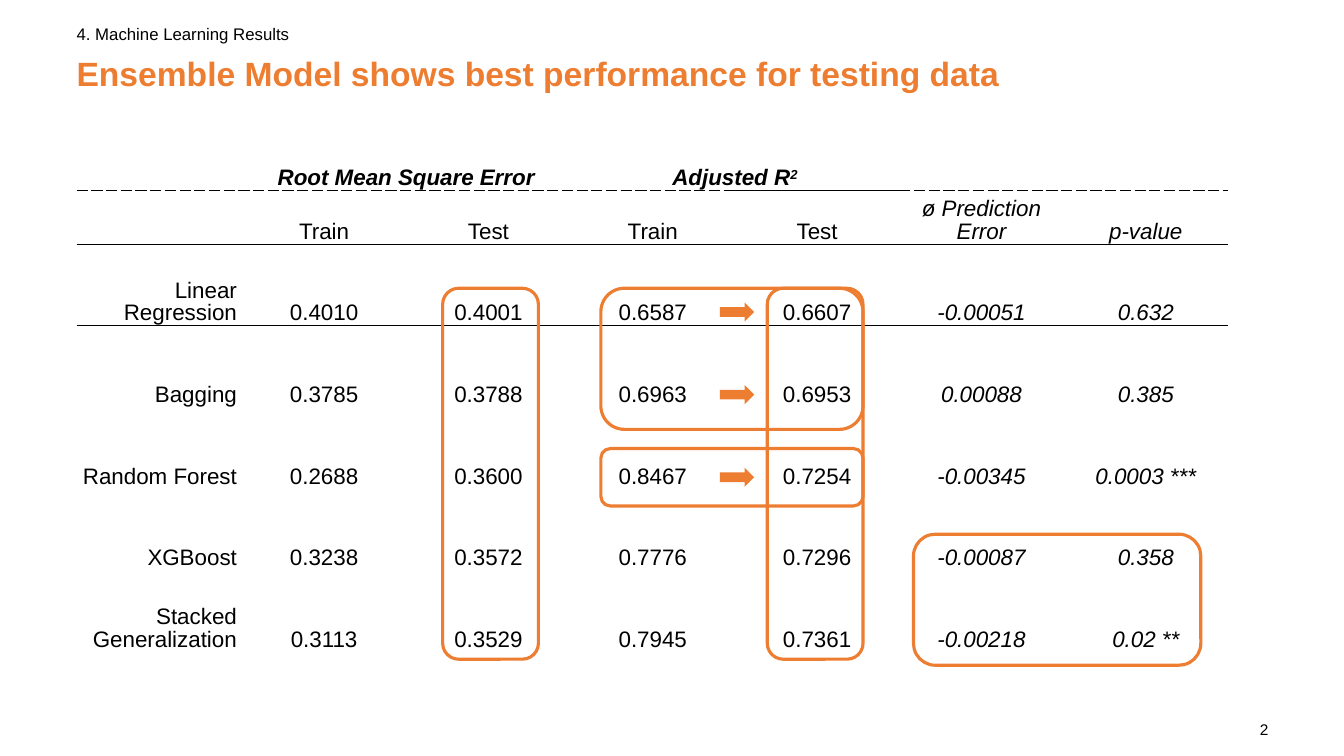
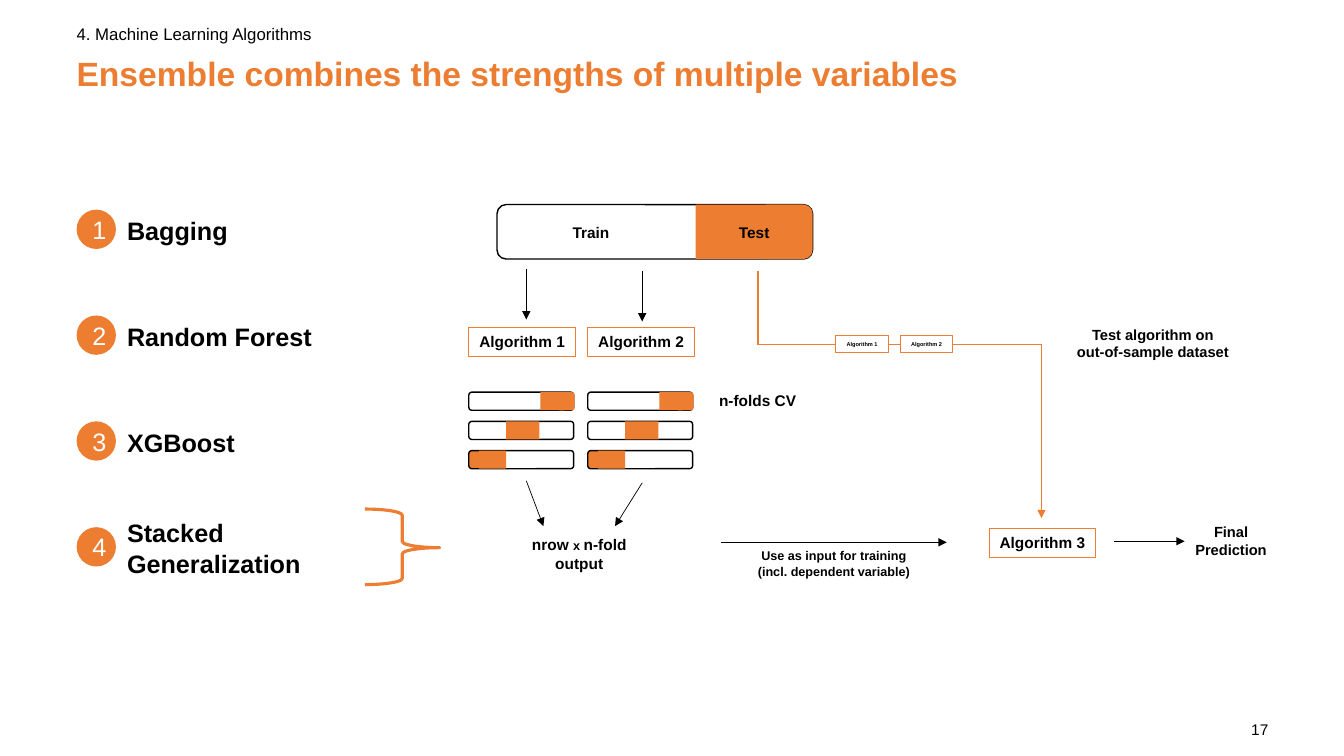
from lxml.etree import SubElement
from pptx import Presentation
from pptx.dml.color import RGBColor
from pptx.enum.shapes import MSO_CONNECTOR, MSO_SHAPE as SHAPE
from pptx.enum.text import MSO_ANCHOR as ANCHOR, PP_ALIGN as ALIGN
from pptx.oxml import parse_xml
from pptx.oxml.ns import nsdecls, qn
from pptx.util import Inches, Pt

ORANGE = RGBColor(0xED, 0x7D, 0x31)
BLACK = RGBColor(0, 0, 0)
WHITE = RGBColor(255, 255, 255)
FONT = "Arial"
LEFT = 0.76
NO_GRID_STYLE = "{2D5ABB26-0587-4C30-8999-92F81FD0307C}"

RESULTS = [
    ["", "Root Mean Square Error", "", "", "", "", ""],
    ["", "Train", "Test", "Train", "Test", "ø Prediction Error", "p-value"],
    ["Linear Regression", "0.4010", "0.4001", "0.6587", "0.6607", "-0.00051", "0.632"],
    ["Bagging", "0.3785", "0.3788", "0.6963", "0.6953", "0.00088", "0.385"],
    ["Random Forest", "0.2688", "0.3600", "0.8467", "0.7254", "-0.00345", "0.0003 ***"],
    ["XGBoost", "0.3238", "0.3572", "0.7776", "0.7296", "-0.00087", "0.358"],
    ["Stacked Generalization", "0.3113", "0.3529", "0.7945", "0.7361", "-0.00218", "0.02 **"],
]
HIGHLIGHTS = [
    (5.96, 4.45, 2.6, 0.57),
    (5.96, 2.86, 2.6, 1.4),
    (9.06, 5.3, 2.85, 1.3),
    (7.61, 2.86, 0.95, 3.68),
    (4.39, 2.86, 0.95, 3.68),
]
MODELS = [
    ("Bagging", 2.03),
    ("Random Forest", 2.03),
    ("XGBoost", 2.03),
    ("Stacked Generalization", 2.4),
]
OUTLINE = (SHAPE.ROUNDED_RECTANGLE, 0, 1.04, None, BLACK)
FOLDS = [
    (OUTLINE, (SHAPE.RECTANGLE, 0.71, 0.31, ORANGE, None),
     (SHAPE.ROUNDED_RECTANGLE, 0.87, 0.18, ORANGE, None)),
    (OUTLINE, (SHAPE.RECTANGLE, 0.37, 0.33, ORANGE, None)),
    ((SHAPE.ROUNDED_RECTANGLE, 0, 0.18, ORANGE, None), OUTLINE,
     (SHAPE.RECTANGLE, 0.1, 0.27, ORANGE, None)),
]


def style_font(font, size, color=BLACK, bold=False, italic=False):
    font.name = FONT
    font.size = Pt(size)
    font.color.rgb = color
    font.bold = bold
    font.italic = italic


def write(tf, lines, size, color=BLACK, bold=False, align=ALIGN.LEFT,
          anchor=ANCHOR.TOP, insets=(0.1, 0.05, 0.1, 0.05), wrap=True):
    tf.word_wrap = wrap
    tf.vertical_anchor = anchor
    tf.margin_left, tf.margin_top, tf.margin_right, tf.margin_bottom = map(Inches, insets)
    for i, line in enumerate(lines):
        p = tf.paragraphs[0] if i == 0 else tf.add_paragraph()
        p.text = line
        p.alignment = align
        style_font(p.font, size, color, bold)


def add_text(s, at, lines, size, **options):
    tf = s.shapes.add_textbox(*map(Inches, at)).text_frame
    write(tf, lines, size, **options)
    return tf


def add_label(s, at, lines, size=11, align=ALIGN.CENTER):
    return add_text(s, at, lines, size, bold=True, align=align, wrap=False)


def add_shape(s, kind, at, fill=None, line=None, width=1):
    sp = s.shapes.add_shape(kind, *map(Inches, at))
    sp.shadow.inherit = False
    if fill is None:
        sp.fill.background()
    else:
        sp.fill.solid()
        sp.fill.fore_color.rgb = fill
    if line is None:
        sp.line.fill.background()
    else:
        sp.line.color.rgb = line
        sp.line.width = Pt(width)
    return sp


def add_line(s, start, end, color=BLACK, width=0.5, arrow=True):
    line = s.shapes.add_connector(MSO_CONNECTOR.STRAIGHT, *map(Inches, start + end))
    line.line.color.rgb = color
    line.line.width = Pt(width)
    if arrow:
        SubElement(line.line._get_or_add_ln(), qn("a:tailEnd"), type="triangle")
    SubElement(line._element.spPr, qn("a:effectLst"))


def add_algorithm(s, number, at, size=11, fill=None):
    sp = add_shape(s, SHAPE.RECTANGLE, at, fill, ORANGE, 0.75)
    write(sp.text_frame, [f"Algorithm {number}"], size, bold=True,
          align=ALIGN.CENTER, wrap=False)


def add_slide(prs, section, title, number):
    s = prs.slides.add_slide(prs.slide_layouts[6])
    tf = add_text(s, (LEFT, 0.52, 10.47, 1.02), [title], 24, color=ORANGE, bold=True,
                  insets=(0, 0.05, 0.1, 0.05))
    tf.paragraphs[0].line_spacing = 0.9
    add_text(s, (LEFT, 0.22, 10.16, 0.24), [section], 12, anchor=ANCHOR.MIDDLE,
             insets=(0, 0, 0, 0))
    add_text(s, (11.91, 7.1, 0.67, 0.3), [str(number)], 11, align=ALIGN.RIGHT,
             insets=(0, 0.05, 0, 0.05))
    return s


def set_border(cell, side, dash):
    cell._tc.get_or_add_tcPr().insert(0, parse_xml(
        f'<a:{side} {nsdecls("a")} w="3175"><a:solidFill><a:srgbClr val="{BLACK}"/>'
        f'</a:solidFill><a:prstDash val="{dash}"/></a:{side}>'))


def style_cell(cell, row, col):
    cell.fill.background()
    cell.vertical_anchor = ANCHOR.BOTTOM
    cell.margin_left = cell.margin_right = Inches(0.05)
    cell.margin_top = cell.margin_bottom = 0
    p = cell.text_frame.paragraphs[0]
    p.alignment = ALIGN.RIGHT if col == 0 else ALIGN.CENTER
    p.line_spacing = Pt(16)
    style_font(p.font, 16, bold=row == 0, italic=row == 0 or (col >= 5))
    if row == 0:
        set_border(cell, "lnB", "sysDash")
    elif row == 1:
        set_border(cell, "lnB", "solid")
        set_border(cell, "lnT", "solid" if col == 4 else "sysDash")
    elif row == 2:
        set_border(cell, "lnT", "solid")


def add_results_table(s):
    heights = [0.29, 0.53] + [0.81] * 5
    table = s.shapes.add_table(7, 7, Inches(LEFT), Inches(1.6), Inches(11.42),
                               Inches(sum(heights))).table
    table.first_row = table.horz_banding = False
    table._tbl.tblPr.find(qn("a:tableStyleId")).text = NO_GRID_STYLE
    for col, column in enumerate(table.columns):
        column.width = Inches(1.64 if col == 0 else 1.63)
    for row, values in enumerate(RESULTS):
        table.rows[row].height = Inches(heights[row])
        for col, value in enumerate(values):
            cell = table.cell(row, col)
            if value:
                cell.text = value
            style_cell(cell, row, col)
    p = table.cell(0, 3).text_frame.paragraphs[0]
    p.add_run().text = "Adjusted R"
    r = p.add_run()
    r.text = "2"
    r._r.get_or_add_rPr().set("baseline", "30000")
    for col in (1, 3):
        table.cell(0, col).merge(table.cell(0, col + 1))


def add_model_list(s):
    for i, (name, width) in enumerate(MODELS):
        top = 2.08 + 1.05 * i
        sp = add_shape(s, SHAPE.OVAL, (LEFT, top, 0.39, 0.39), ORANGE)
        write(sp.text_frame, [str(i + 1)], 18, color=WHITE, align=ALIGN.CENTER,
              anchor=ANCHOR.MIDDLE)
        add_text(s, (1.22, top - 0.08, width, 0.53), [name], 18, bold=True,
                 anchor=ANCHOR.MIDDLE, insets=(0.04, 0.04, 0.04, 0))
    brace = add_shape(s, SHAPE.RIGHT_BRACE, (3.62, 5.05, 0.74, 0.75), line=ORANGE, width=2.25)
    brace.adjustments[0] = 0.083
    brace.adjustments[1] = 0.511


def add_data_split(s):
    add_shape(s, SHAPE.ROUNDED_RECTANGLE, (4.93, 2.03, 3.13, 0.54), line=BLACK)
    add_shape(s, SHAPE.RECTANGLE, (6.9, 2.03, 1.08, 0.54), ORANGE)
    add_shape(s, SHAPE.ROUNDED_RECTANGLE, (7.52, 2.03, 0.54, 0.54), ORANGE)
    add_label(s, (5.58, 2.16, 0.58, 0.29), ["Train"], align=ALIGN.LEFT)
    add_label(s, (7.23, 2.16, 0.52, 0.29), ["Test"], align=ALIGN.LEFT)


def add_cross_validation(s):
    for number, left in enumerate((4.65, 5.83), 1):
        add_algorithm(s, number, (left, 3.25, 1.06, 0.29))
        for i, parts in enumerate(FOLDS):
            top = 3.89 + 0.29 * i
            for kind, offset, width, fill, line in parts:
                add_shape(s, kind, (left + offset, top, width, 0.18), fill, line)
    add_line(s, (5.22, 2.67), (5.22, 3.17))
    add_line(s, (6.37, 2.69), (6.37, 3.19))
    add_line(s, (5.22, 4.77), (5.39, 5.22))
    add_line(s, (6.37, 4.79), (6.1, 5.22))
    add_label(s, (7.03, 3.83, 0.97, 0.29), ["n-folds CV"])
    tf = add_label(s, (5.15, 5.26, 1.19, 0.47), ["", "output"])
    for text, size in (("nrow ", 11), ("x ", 9), ("n-fold", 11)):
        r = tf.paragraphs[0].add_run()
        r.text = text
        r.font.size = Pt(size)


def add_final_prediction(s):
    add_line(s, (7.15, 5.38), (9.39, 5.38))
    add_label(s, (7.41, 5.39, 1.72, 0.4),
              ["Use as input for training", "(incl. dependent variable)"], 9)
    add_algorithm(s, 3, (9.81, 5.24, 1.06, 0.29))
    add_line(s, (11.05, 5.37), (11.75, 5.37))
    add_label(s, (11.75, 5.14, 0.92, 0.45), ["Final", "Prediction"], 10.5)


def add_test_route(s):
    add_label(s, (10.55, 3.18, 1.77, 0.45),
              ["Test algorithm on", "out-of-sample dataset"], 10.5)
    route = [(7.52, 2.69), (7.52, 3.42), (10.33, 3.42), (10.33, 5.14)]
    for i, (start, end) in enumerate(zip(route, route[1:])):
        add_line(s, start, end, ORANGE, 1, arrow=i == 2)
    for number, left in enumerate((8.29, 8.93), 1):
        add_algorithm(s, number, (left, 3.33, 0.52, 0.17), 4, WHITE)


def build_results(prs):
    s = add_slide(prs, "4. Machine Learning Results",
                  "Ensemble Model shows best performance for testing data", 2)
    add_results_table(s)
    for at in HIGHLIGHTS:
        add_shape(s, SHAPE.ROUNDED_RECTANGLE, at, line=ORANGE, width=2.25)
    for i in range(3):
        add_shape(s, SHAPE.RIGHT_ARROW, (7.14, 3 + 0.82 * i, 0.34, 0.19), ORANGE)


def build_algorithms(prs):
    s = add_slide(prs, "4. Machine Learning Algorithms",
                  "Ensemble combines the strengths of multiple variables", 17)
    add_model_list(s)
    add_data_split(s)
    add_cross_validation(s)
    add_final_prediction(s)
    add_test_route(s)


def main():
    prs = Presentation()
    prs.slide_width = Inches(13.33)
    prs.slide_height = Inches(7.5)
    build_results(prs)
    build_algorithms(prs)
    prs.save("out.pptx")


if __name__ == "__main__":
    main()
